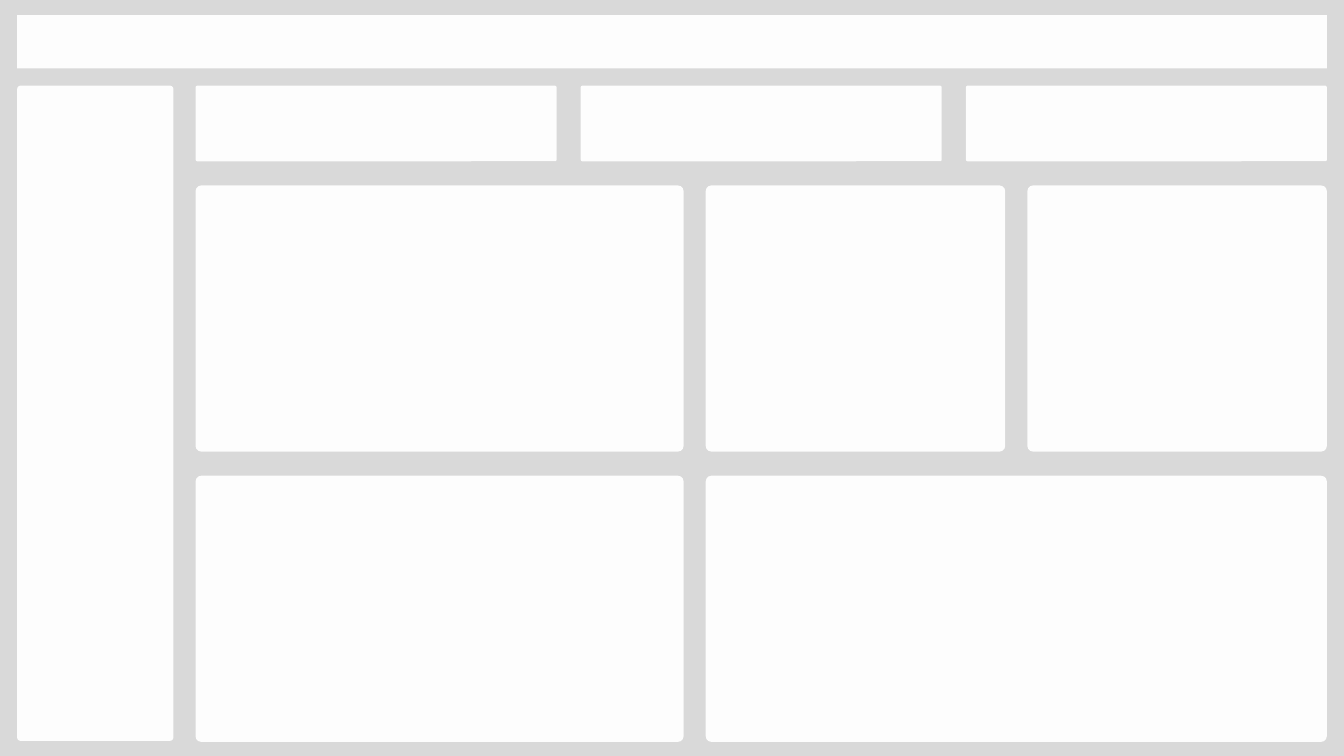
from lxml import etree
from pptx import Presentation
from pptx.dml.color import RGBColor
from pptx.enum import shapes
from pptx.oxml.ns import qn
from pptx.util import Inches

WIDE, HIGH = 13.33, 7.5
LEFT, RIGHT = 0.17, 13.16
MAIN = 1.94
GAP = 0.22


def paint(shape, color, alpha=None):
    shape.shadow.inherit = False
    shape.line.fill.background()
    shape.fill.solid()
    shape.fill.fore_color.rgb = RGBColor.from_string(color)
    if alpha:
        tone = shape.fill._xPr.find(".//" + qn("a:srgbClr"))
        etree.SubElement(tone, qn("a:alpha")).set("val", str(alpha * 1000))


def panel(slide, x, y, w, h, color="FFFFFF", alpha=95, curve=0.021):
    kind = shapes.MSO_SHAPE.ROUNDED_RECTANGLE if curve else shapes.MSO_SHAPE.RECTANGLE
    shape = slide.shapes.add_shape(kind, Inches(x), Inches(y), Inches(w), Inches(h))
    if curve:
        shape.adjustments[0] = curve
    paint(shape, color, alpha)


def header(slide, x, y, w, h):
    panel(slide, x, y, w, h, curve=0)


def sidebar(slide, x, y, w, h):
    panel(slide, x, y, w, h)


def cards(slide, x, y, w, h):
    size = 3.58
    step = (w - size) / 2
    for col in range(3):
        panel(slide, x + col * step, y, size, h)


def charts(slide, x, y, w, h):
    wide, tall = 4.84, 2.64
    side = x + wide + GAP
    rest = x + w - side
    half = (rest - GAP) / 2
    low = y + h - tall
    for top in (y, low):
        panel(slide, x, top, wide, tall)
    for col in range(2):
        panel(slide, side + col * (half + GAP), y, half, tall)
    panel(slide, side, low, rest, tall)


def main():
    deck = Presentation()
    deck.slide_width, deck.slide_height = Inches(WIDE), Inches(HIGH)
    slide = deck.slides.add_slide(deck.slide_layouts[6])
    panel(slide, 0, 0, WIDE, HIGH, "D9D9D9", None, 0)
    header(slide, LEFT, 0.15, RIGHT - LEFT, 0.53)
    sidebar(slide, LEFT, 0.85, 1.55, 6.5)
    cards(slide, MAIN, 0.85, RIGHT - MAIN, 0.75)
    charts(slide, MAIN, 1.84, RIGHT - MAIN, 5.52)
    deck.save("out.pptx")


if __name__ == "__main__":
    main()
